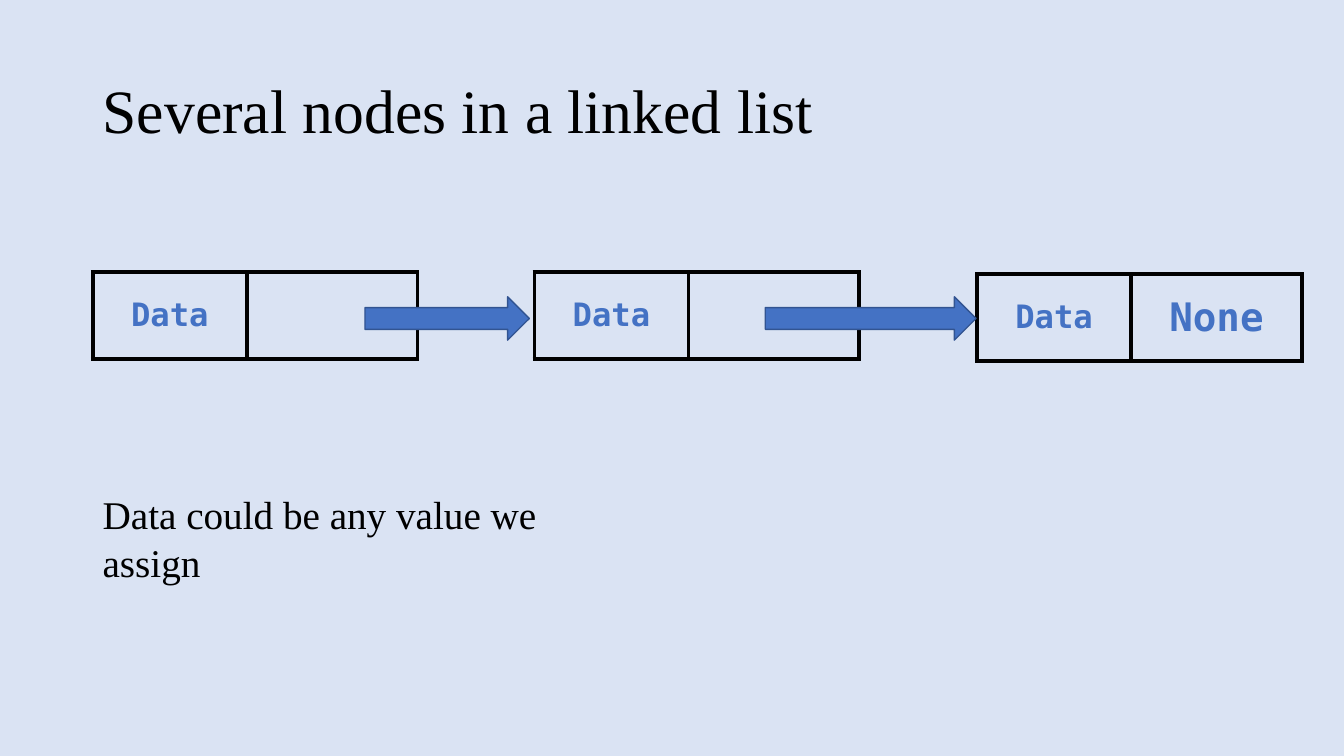
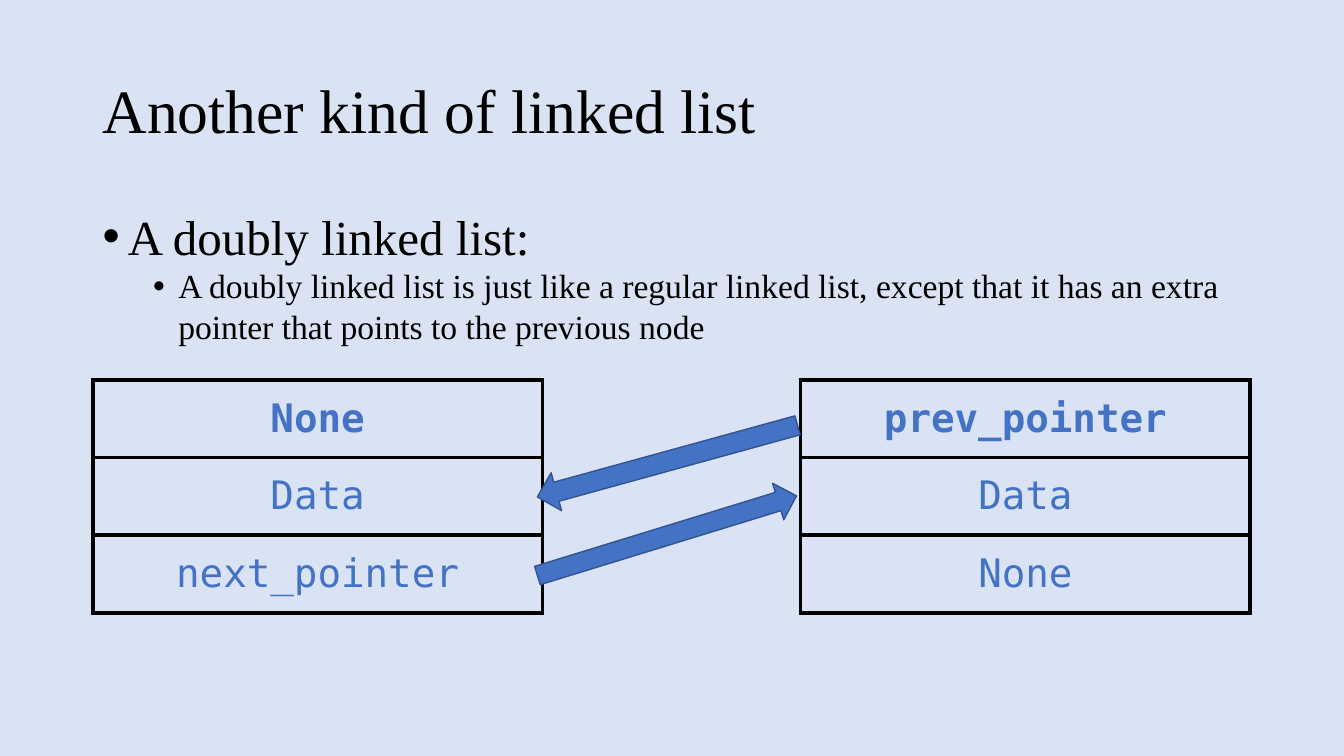
from dataclasses import dataclass
from math import atan2, degrees, hypot

from lxml import etree
from pptx import Presentation
from pptx import util as u
from pptx.dml.color import RGBColor
from pptx.enum import shapes, text
from pptx.oxml import ns


@dataclass(frozen=True)
class Theme:
    """Colours, fonts, type sizes and margins shared by the slides."""
    back: str = "DAE3F3"
    ink: str = "000000"
    accent: str = "4472C4"
    edge: str = "325491"
    serif: str = "Times New Roman"
    mono: str = "DejaVu Sans Mono"
    title: int = 44
    topic: int = 35
    large: int = 28
    detail: int = 24
    node: int = 23
    border: int = 3
    left: float = 0.92
    width: float = 11.5


THEME = Theme()
SLIDE_WIDTH, SLIDE_HEIGHT = 13.33, 7.5

# Content: a cell is (text, size, bold); an arrow is (start, end, thickness).
DATA = ("Data", THEME.node, True)
EMPTY = ("", THEME.node, True)
SINGLE = {
    "title": "Several nodes in a linked list",
    "note": "Data could be any value we assign",
    "nodes": [
        (THEME.left, 2.7, [[DATA, EMPTY]]),
        (5.3, 2.7, [[DATA, EMPTY]]),
        (9.69, 2.72, [[DATA, ("None", THEME.large, True)]]),
    ],
    "columns": (1.53, 1.69),
    "row": 0.86,
    "arrows": [((3.62, 3.16), (5.25, 3.16), 0.43),
               ((7.59, 3.16), (9.68, 3.16), 0.43)],
}
DOUBLE = {
    "title": "Another kind of linked list",
    "bullets": [
        ("A doubly linked list:", THEME.topic),
        ("A doubly linked list is just like a regular linked list, except that "
         "it has an extra pointer that points to the previous node", THEME.detail),
    ],
    "nodes": [(THEME.left, ("None", "Data", "next_pointer")),
              (7.94, ("prev_pointer", "Data", "None"))],
    "top": 3.77,
    "columns": (4.46,),
    "row": 0.77,
    "arrows": [((5.33, 5.71), (7.9, 4.92), 0.38),
               ((7.91, 4.22), (5.33, 4.93), 0.39)],
}


def color(value):
    """Turn a hex string into a colour."""
    return RGBColor.from_string(value)


def inches(*lengths):
    """Turn numbers into slide lengths."""
    return [u.Inches(length) for length in lengths]


def write(para, words, *, size, font=THEME.serif, ink=THEME.ink, bold=False,
          align=None, spacing=None):
    """Add one formatted run to a paragraph."""
    para.alignment = align
    para.line_spacing = spacing
    span = para.add_run()
    span.text = words
    span.font.name, span.font.size, span.font.bold = font, u.Pt(size), bold
    span.font.color.rgb = color(ink)


def add_box(page, left, top, width, height, anchor=text.MSO_ANCHOR.TOP):
    """Add a wrapping text box and return its text frame."""
    frame = page.shapes.add_textbox(*inches(left, top, width, height)).text_frame
    frame.word_wrap = True
    frame.vertical_anchor = anchor
    return frame


def add_page(deck, title):
    """Add a blank page with the shared background and title."""
    page = deck.slides.add_slide(deck.slide_layouts[6])
    page.background.fill.solid()
    page.background.fill.fore_color.rgb = color(THEME.back)
    frame = add_box(page, THEME.left, 0.4, THEME.width, 1.45, text.MSO_ANCHOR.MIDDLE)
    write(frame.paragraphs[0], title, size=THEME.title, spacing=0.9)
    return page


def add_bullets(page, items):
    """Add a bulleted list, each item one level deeper than the last."""
    frame = add_box(page, THEME.left, 2, THEME.width, 4.76)
    for level, (words, size) in enumerate(items):
        para = frame.paragraphs[0] if level == 0 else frame.add_paragraph()
        para.level = level
        write(para, words, size=size)
        props = para._p.get_or_add_pPr()
        props.set("marL", str(u.Inches(0.25 + 0.5 * level)))
        props.set("indent", str(u.Inches(-0.25)))
        etree.SubElement(props, ns.qn("a:buFont"), typeface="Arial")
        etree.SubElement(props, ns.qn("a:buChar"), char="•")


def outline(cell):
    """Draw a solid border on all sides of a cell."""
    props = cell._tc.get_or_add_tcPr()
    for side in ("lnL", "lnR", "lnT", "lnB"):
        line = etree.SubElement(props, ns.qn("a:" + side), w=str(u.Pt(THEME.border)))
        fill = etree.SubElement(line, ns.qn("a:solidFill"))
        etree.SubElement(fill, ns.qn("a:srgbClr"), val=THEME.ink)


def add_node(page, left, top, rows, columns, row_height):
    """Draw a list node as an unfilled, bordered table."""
    frame = page.shapes.add_table(
        len(rows), len(columns),
        *inches(left, top, sum(columns), row_height * len(rows)))
    table = frame.table
    table.first_row = table.horz_banding = False
    for column, width in zip(table.columns, columns):
        column.width = u.Inches(width)
    for row, fields in zip(table.rows, rows):
        row.height = u.Inches(row_height)
        for cell, (words, size, bold) in zip(row.cells, fields):
            outline(cell)
            cell.fill.background()
            cell.vertical_anchor = text.MSO_ANCHOR.MIDDLE
            if words:
                write(cell.text_frame.paragraphs[0], words, size=size, bold=bold,
                      font=THEME.mono, ink=THEME.accent, align=text.PP_ALIGN.CENTER)


def add_arrow(page, start, end, thickness):
    """Draw a block arrow from start to end, turned to fit."""
    (x1, y1), (x2, y2) = start, end
    length = hypot(x2 - x1, y2 - y1)
    arrow = page.shapes.add_shape(
        shapes.MSO_SHAPE.RIGHT_ARROW,
        *inches((x1 + x2 - length) / 2, (y1 + y2 - thickness) / 2, length, thickness))
    arrow.rotation = degrees(atan2(y2 - y1, x2 - x1)) % 360
    arrow.shadow.inherit = False
    arrow.fill.solid()
    arrow.fill.fore_color.rgb = color(THEME.accent)
    arrow.line.color.rgb = color(THEME.edge)
    arrow.line.width = u.Pt(1)


def build_single(deck):
    """Build the slide of nodes in one chain."""
    page = add_page(deck, SINGLE["title"])
    for left, top, rows in SINGLE["nodes"]:
        add_node(page, left, top, rows, SINGLE["columns"], SINGLE["row"])
    for arrow in SINGLE["arrows"]:
        add_arrow(page, *arrow)
    note = add_box(page, THEME.left, 4.82, 5.37, 0.57)
    write(note.paragraphs[0], SINGLE["note"], size=THEME.large)


def build_double(deck):
    """Build the slide of nodes linked both ways."""
    page = add_page(deck, DOUBLE["title"])
    add_bullets(page, DOUBLE["bullets"])
    for left, fields in DOUBLE["nodes"]:
        rows = [[(words, THEME.large, index == 0)] for index, words in enumerate(fields)]
        add_node(page, left, DOUBLE["top"], rows, DOUBLE["columns"], DOUBLE["row"])
    for arrow in DOUBLE["arrows"]:
        add_arrow(page, *arrow)


def main():
    """Build and save the deck."""
    deck = Presentation()
    deck.slide_width, deck.slide_height = inches(SLIDE_WIDTH, SLIDE_HEIGHT)
    build_single(deck)
    build_double(deck)
    deck.save("out.pptx")


main()
